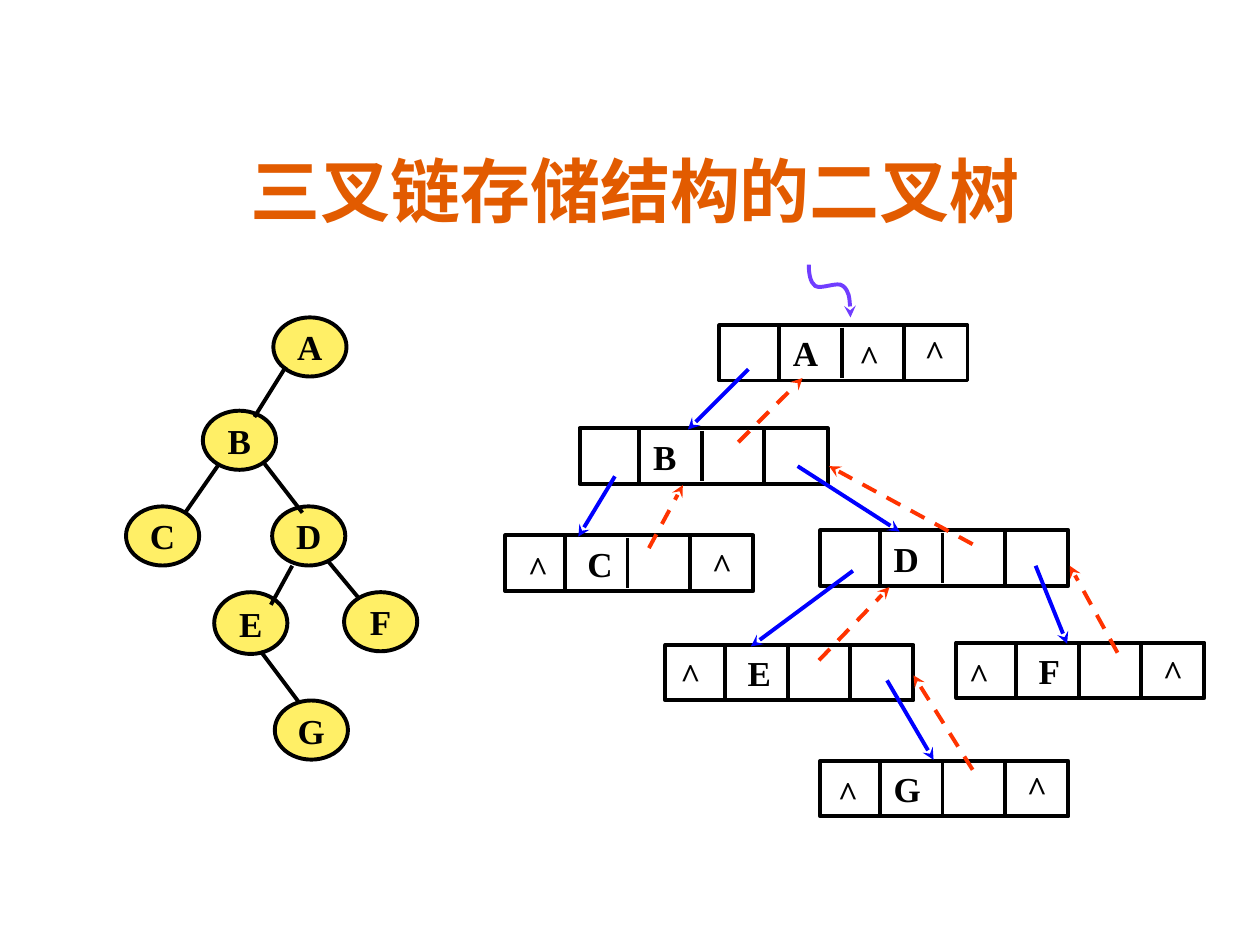
from lxml.etree import SubElement
from pptx import Presentation
from pptx.dml.color import RGBColor
from pptx.enum.dml import MSO_LINE as Dash
from pptx.enum.shapes import MSO_CONNECTOR as Connector, MSO_SHAPE as Shape
from pptx.enum.text import MSO_ANCHOR as Anchor, PP_ALIGN as Align
from pptx.oxml.ns import qn
from pptx.util import Pt

TITLE = "三叉链存储结构的二叉树"
BLACK, BLUE, RED, PURPLE = "000000", "0000FF", "FF3300", "703DFF"
YELLOW, ORANGE = "FFEF66", "E25B00"
SERIF = dict(name="Times New Roman", size=Pt(20), bold=True)
HEADING = dict(name="Comic Neue", size=Pt(40), bold=True)

# Linked records: letter, left, top, left inset of the letter
RECORDS = [
    ("A", 411.1, 185.8, 42), ("B", 331.2, 244.8, 42), ("C", 288.7, 306, 47),
    ("D", 468.7, 303.1, 42), ("E", 380.2, 368.6, 47), ("F", 546.5, 367.2, 47),
    ("G", 468.7, 434.9, 42),
]
RECORD_W, RECORD_H = 141.8, 31.7
FIRST_DIVIDER, FIELD_W = 34.2, 35.7

# Pointers: x and y of the start, x and y of the end
CHILD_POINTERS = [
    (427.7, 211, 393.1, 245.5), (351.4, 272.2, 330.5, 306.7),
    (487.4, 326.2, 429.1, 369.4), (455.8, 266.4, 514.1, 303.8),
    (591.8, 323.3, 609.8, 367.9), (506.9, 388.8, 533.5, 434.2),
]
PARENT_POINTERS = [
    (421.9, 252.7, 458.6, 216), (370.8, 313.2, 390.2, 277.2),
    (555.8, 311, 473.8, 266.4), (468, 377.3, 508.3, 335.5),
    (555.8, 439.9, 522, 385.9), (638.6, 373, 611.3, 323.3),
]
NULL_MARKS = [
    (483.8, 187.9), (521.3, 185), (294.5, 308.2), (399.6, 306.7), (381.6, 369.4),
    (546.5, 369.4), (657.4, 367.9), (471.6, 437), (579.6, 434.2),
]

# Tree nodes: letter, left, top, height
TREE_NODES = [
    ("A", 156.2, 181.4, 33.8), ("B", 115.9, 234.7, 33.8), ("C", 72, 289.4, 33.8),
    ("D", 155.5, 289.4, 33.8), ("E", 122.4, 338.4, 35.3), ("F", 196.6, 338.4, 33.8),
    ("G", 157, 400.3, 33.8),
]
TREE_EDGES = [
    (163.4, 209.5, 145.4, 238.3), (125.3, 265, 105.8, 293), (151.2, 265, 172.8, 293),
    (167, 323.3, 154.8, 345.6), (187.2, 320.4, 205.2, 342), (149, 372.2, 170.6, 401),
]

# Root pointer: start, then three points for each Bezier segment
ROOT_CURVE = [
    (462.2, 151.2),
    (462.2, 156.2), (463, 161.3), (465.8, 163.4),
    (469.4, 165.6), (478.8, 160.6), (481.7, 163.4),
    (485.3, 166.3), (486, 174.2), (486, 181.4),
]

prs = Presentation()
prs.slide_width, prs.slide_height = Pt(720), Pt(540)
shapes = prs.slides.add_slide(prs.slide_layouts[6]).shapes


def rgb(value):
    return RGBColor.from_string(value)


def write(shape, text, font=SERIF, color=BLACK, align=Align.CENTER,
          anchor=Anchor.MIDDLE, wrap=False, inset=7.2):
    frame = shape.text_frame
    frame.word_wrap, frame.vertical_anchor = wrap, anchor
    frame.margin_left = Pt(inset)
    paragraph = frame.paragraphs[0]
    paragraph.alignment = align
    run = paragraph.add_run()
    run.text = text
    for key, value in font.items():
        setattr(run.font, key, value)
    run.font.color.rgb = rgb(color)


def stroke(item, color=BLACK, dash=None, arrow=False):
    line = item.line
    line.width = Pt(2.25)
    line.color.rgb = rgb(color)
    if dash:
        line.dash_style = dash
    if arrow:
        SubElement(line._get_or_add_ln(), qn("a:tailEnd"), type="stealth")


def add_line(ends, **style):
    line = shapes.add_connector(Connector.STRAIGHT, *map(Pt, ends))
    stroke(line, **style)
    SubElement(line._element.spPr, qn("a:effectLst"))


def add_outline(kind, left, top, width, height, fill=None):
    shape = shapes.add_shape(kind, *map(Pt, (left, top, width, height)))
    shape.shadow.inherit = False
    if fill:
        shape.fill.solid()
        shape.fill.fore_color.rgb = rgb(fill)
    else:
        shape.fill.background()
    stroke(shape)
    return shape


# Title
heading = shapes.add_textbox(Pt(54), Pt(76.3), Pt(617.8), Pt(59.8))
write(heading, TITLE, HEADING, ORANGE, anchor=Anchor.BOTTOM, wrap=True)

# Records of four fields, the middle divider a little shorter
for letter, left, top, inset in RECORDS:
    record = add_outline(Shape.RECTANGLE, left, top, RECORD_W, RECORD_H)
    write(record, letter, align=Align.LEFT, wrap=True, inset=inset)
    for i, gap in enumerate((0, 1.4, 0)):
        x = left + FIRST_DIVIDER + i * FIELD_W
        add_line((x, top + gap, x, top + RECORD_H - gap))

# Child and parent pointers
for ends in CHILD_POINTERS:
    add_line(ends, color=BLUE, arrow=True)
for ends in PARENT_POINTERS:
    add_line(ends, color=RED, dash=Dash.DASH, arrow=True)

# Null marks
for left, top in NULL_MARKS:
    write(shapes.add_textbox(Pt(left), Pt(top), Pt(25.9), Pt(31.7)), "^")

# Binary tree
for letter, left, top, height in TREE_NODES:
    write(add_outline(Shape.OVAL, left, top, 41.8, height, YELLOW), letter)
for ends in TREE_EDGES:
    add_line(ends)

# Root pointer: every three straight steps become one Bezier segment
start, *steps = [(Pt(x), Pt(y)) for x, y in ROOT_CURVE]
builder = shapes.build_freeform(*start)
builder.add_line_segments(steps, close=False)
root = builder.convert_to_shape()
root.shadow.inherit = False
root.fill.background()
stroke(root, PURPLE, arrow=True)
outline = root._element.spPr.find(".//" + qn("a:pathLst"))[0]
straight = outline.findall(qn("a:lnTo"))
for i in range(0, len(straight), 3):
    bezier = SubElement(outline, qn("a:cubicBezTo"))
    for step in straight[i:i + 3]:
        bezier.append(step[0])
        outline.remove(step)

prs.save("out.pptx")
